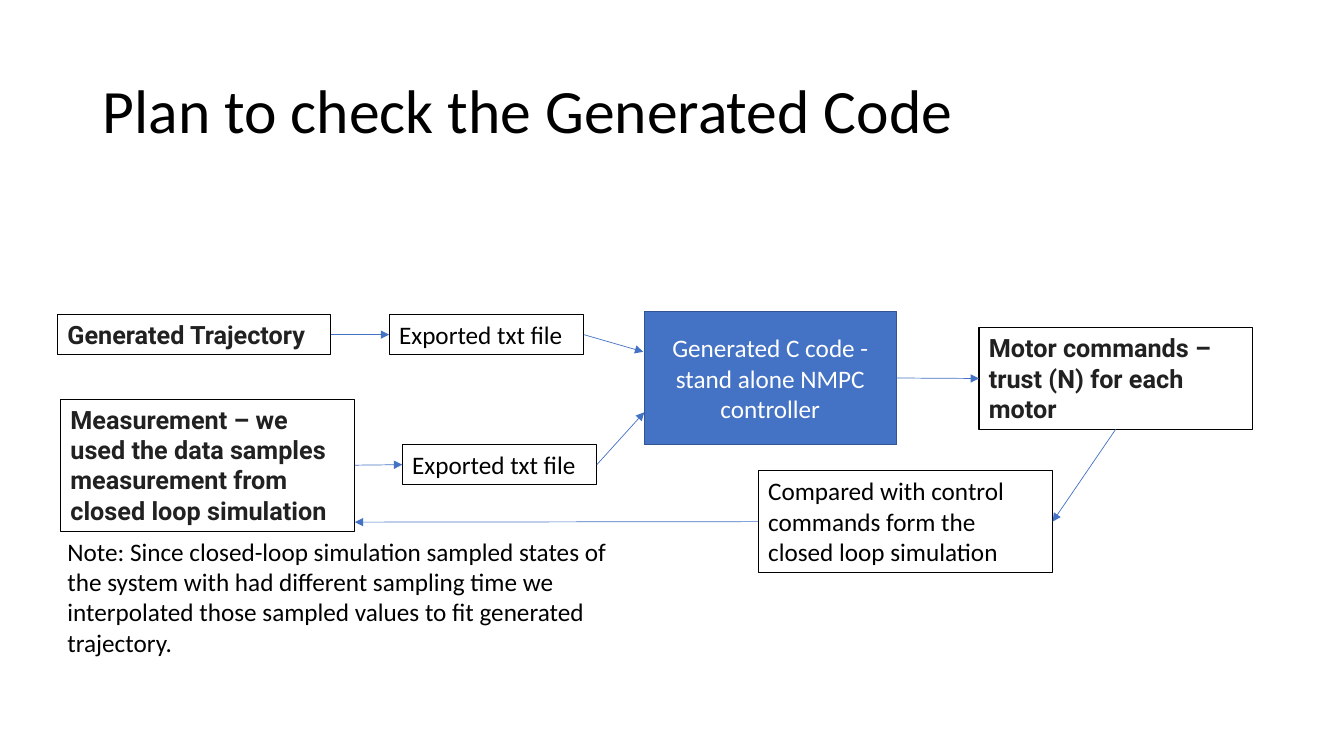
from lxml.etree import SubElement
from pptx import Presentation
from pptx.dml.color import RGBColor
from pptx.enum.shapes import MSO_CONNECTOR, MSO_SHAPE
from pptx.enum.text import MSO_ANCHOR as Anchor, MSO_AUTO_SIZE as AutoSize, PP_ALIGN as Align
from pptx.oxml.ns import qn
from pptx.util import Inches, Pt

BLUE, DARK_BLUE = "4472C4", "325491"
BLACK, GREY, WHITE = "000000", "212121", "FFFFFF"
TOP, LEFT, BOTTOM, RIGHT = range(4)


def colour(value):
    return RGBColor.from_string(value)


def write(shape, text, size=18, font="Calibri", ink=BLACK, bold=False, align=Align.LEFT):
    para = shape.text_frame.paragraphs[0]
    para.text = text
    para.alignment = align
    para.font.name, para.font.size, para.font.bold = font, Pt(size), bold
    para.font.color.rgb = colour(ink)
    return para


def add_title(page, text):
    title = page.shapes.title
    title.left, title.top = Inches(0.92), Inches(0.4)
    title.width, title.height = Inches(11.5), Inches(1.45)
    title.text_frame.vertical_anchor = Anchor.MIDDLE
    write(title, text, size=44).line_spacing = 0.9


def add_text(page, area, text, outlined=True, **style):
    box = page.shapes.add_textbox(*map(Inches, area))
    box.text_frame.word_wrap = True
    box.text_frame.auto_size = AutoSize.SHAPE_TO_FIT_TEXT
    if outlined:
        box.line.color.rgb = colour(BLACK)
        box.line.width = Pt(0.75)
    write(box, text, **style)
    return box


def add_block(page, area, text):
    block = page.shapes.add_shape(MSO_SHAPE.RECTANGLE, *map(Inches, area))
    block.shadow.inherit = False
    block.fill.solid()
    block.fill.fore_color.rgb = colour(BLUE)
    block.line.color.rgb = colour(DARK_BLUE)
    block.line.width = Pt(1)
    block.text_frame.word_wrap = True
    block.text_frame.vertical_anchor = Anchor.MIDDLE
    write(block, text, ink=WHITE, align=Align.CENTER)
    return block


def add_arrow(page, start, end, source=None, target=None):
    """Source and target are (shape, side) pairs that the arrow is joined to."""
    arrow = page.shapes.add_connector(MSO_CONNECTOR.STRAIGHT, *map(Inches, start + end))
    if source:
        arrow.begin_connect(*source)
    if target:
        arrow.end_connect(*target)
    arrow.line.color.rgb = colour(BLUE)
    arrow.line.width = Pt(0.5)
    SubElement(arrow.line._get_or_add_ln(), qn("a:tailEnd"), type="triangle")
    SubElement(arrow._element.spPr, qn("a:effectLst"))


def main():
    deck = Presentation()
    deck.slide_width, deck.slide_height = Inches(13.33), Inches(7.5)
    page = deck.slides.add_slide(deck.slide_layouts[5])
    add_title(page, "Plan to check the Generated Code")

    # Inputs
    heading = dict(font="Roboto", ink=GREY, bold=True)
    trajectory = add_text(page, (0.57, 3.12, 2.71, 0.4), "Generated Trajectory", **heading)
    measurement = add_text(
        page, (0.6, 3.96, 2.92, 1.31),
        "Measurement – we used the data samples measurement from closed loop simulation",
        **heading)
    trajectory_file, measurement_file = [
        add_text(page, (left, top, 1.93, 0.4), "Exported txt file")
        for left, top in ((3.86, 3.12), (3.99, 4.41))]

    # Controller and its output
    controller = add_block(page, (6.39, 3.09, 2.5, 1.32),
                           "Generated C code - stand alone NMPC controller")
    motors = add_text(page, (9.71, 3.25, 2.71, 1.01),
                      "Motor commands – trust (N) for each motor", **heading)
    comparison = add_text(page, (7.52, 4.67, 2.92, 1.01),
                          "Compared with control commands form the closed loop simulation")

    # Note
    add_text(page, (0.57, 5.27, 5.89, 1.31),
             "Note: Since closed-loop simulation sampled states of the system with had "
             "different sampling time we interpolated those sampled values to fit "
             "generated trajectory.", outlined=False)

    # Flow
    add_arrow(page, (3.28, 3.32), (3.86, 3.32), (trajectory, RIGHT), (trajectory_file, LEFT))
    add_arrow(page, (3.52, 4.62), (3.99, 4.61), (measurement, RIGHT), (measurement_file, LEFT))
    add_arrow(page, (5.79, 3.32), (6.38, 3.49), (trajectory_file, RIGHT))
    add_arrow(page, (5.92, 4.61), (6.39, 4.09), (measurement_file, RIGHT))
    add_arrow(page, (8.89, 3.75), (9.71, 3.75), (controller, RIGHT), (motors, LEFT))
    add_arrow(page, (11.06, 4.26), (10.44, 5.18), (motors, BOTTOM), (comparison, RIGHT))
    add_arrow(page, (7.52, 5.18), (3.52, 5.18), (comparison, LEFT))

    deck.save("out.pptx")


if __name__ == "__main__":
    main()
